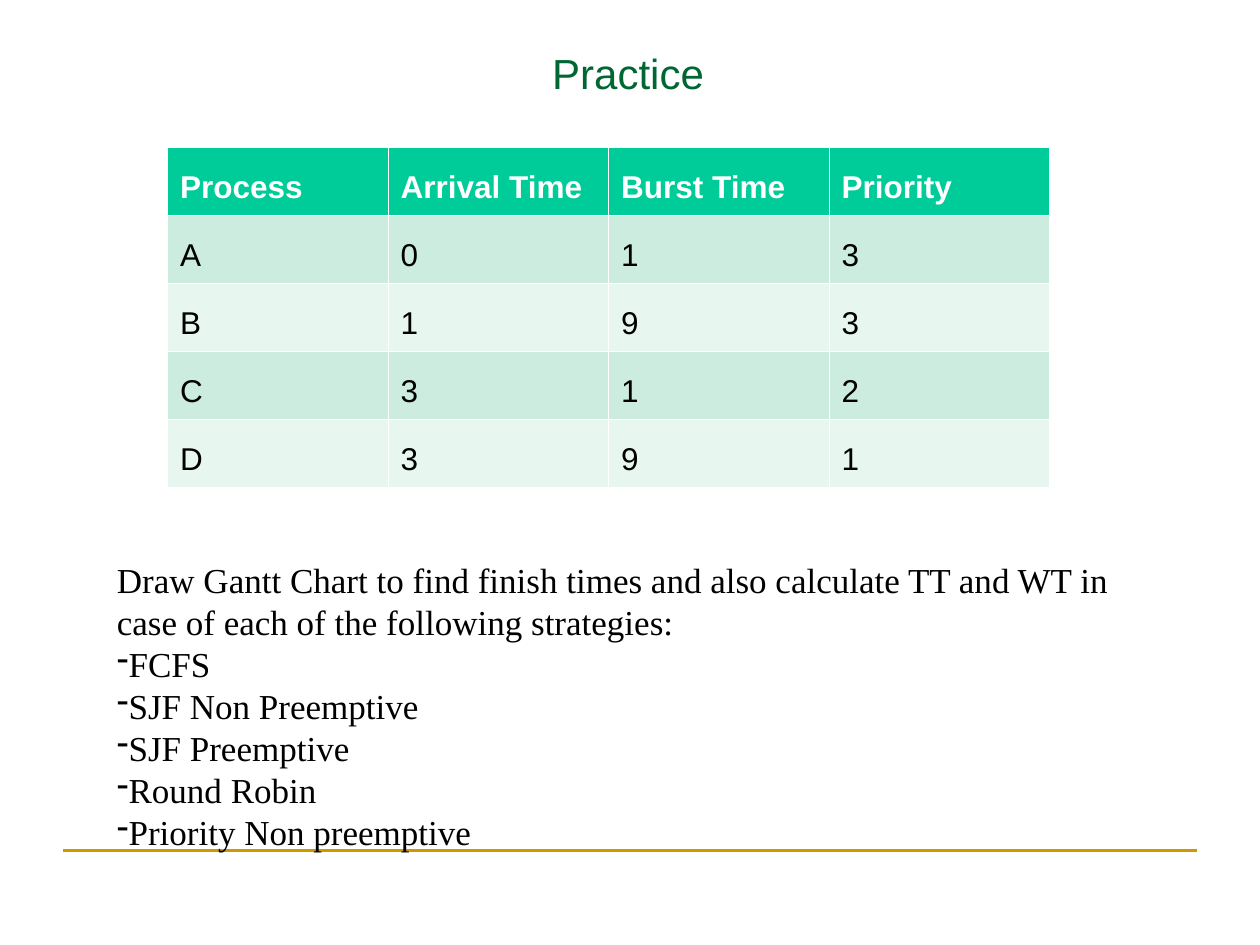
from lxml import etree
from pptx import Presentation
from pptx.dml.color import RGBColor
from pptx.enum.shapes import MSO_CONNECTOR
from pptx.enum.text import PP_ALIGN
from pptx.oxml.ns import qn
from pptx.util import Pt

PX = 9144
STRAIGHT = MSO_CONNECTOR.STRAIGHT
CENTER = PP_ALIGN.CENTER
SANS, SERIF = "Arial", "Times New Roman"
WHITE, BLACK, GREEN, GOLD = "FFFFFF", "000000", "006633", "CC9900"
HEADER_FILL, BAND_FILLS = "00CC99", ("CBECDE", "E7F6EF")
BORDER_SIDES = ("a:lnL", "a:lnR", "a:lnT", "a:lnB")

PROCESSES = [
    ("Process", "Arrival Time", "Burst Time", "Priority"),
    ("A", "0", "1", "3"),
    ("B", "1", "9", "3"),
    ("C", "3", "1", "2"),
    ("D", "3", "9", "1"),
]
TASK = ("Draw Gantt Chart to find finish times and also calculate TT and WT "
        "in case of each of the following strategies:")
STRATEGIES = ["FCFS", "SJF Non Preemptive", "SJF Preemptive", "Round Robin",
              "Priority Non preemptive"]


def px(*lengths):
    return [length * PX for length in lengths]


def color(hex_code):
    return RGBColor.from_string(hex_code)


def style(paragraph, face, size, hex_code, bold=False):
    for run in paragraph.runs:
        run.font.name = face
        run.font.size = Pt(size)
        run.font.bold = bold
        run.font.color.rgb = color(hex_code)


def add_text_frame(slide, box):
    frame = slide.shapes.add_textbox(*px(*box)).text_frame
    frame.word_wrap = True
    return frame


def add_title(slide, box, title):
    heading = add_text_frame(slide, box).paragraphs[0]
    heading.text = title
    heading.alignment = CENTER
    style(heading, SANS, 24, GREEN)


def add_rule(slide, left, right, y):
    rule = slide.shapes.add_connector(STRAIGHT, *px(left, y, right, y))
    rule.line.color.rgb = color(GOLD)
    rule.line.width = Pt(1.5)
    etree.SubElement(rule._element.spPr, qn("a:effectLst"))


def add_borders(cell):
    properties = cell._tc.get_or_add_tcPr()
    for position, side in enumerate(BORDER_SIDES):
        border = etree.Element(qn(side), w=str(Pt(0.75)))
        fill = etree.SubElement(border, qn("a:solidFill"))
        etree.SubElement(fill, qn("a:srgbClr"), val=WHITE)
        properties.insert(position, border)


def add_process_table(slide, box, rows):
    table = slide.shapes.add_table(len(rows), len(rows[0]), *px(*box)).table
    for row_index, values in enumerate(rows):
        is_header = row_index == 0
        fill = HEADER_FILL if is_header else BAND_FILLS[(row_index - 1) % 2]
        for column_index, value in enumerate(values):
            cell = table.cell(row_index, column_index)
            cell.margin_top, = px(23)
            cell.fill.solid()
            cell.fill.fore_color.rgb = color(fill)
            entry = cell.text_frame.paragraphs[0]
            entry.text = value
            entry.line_spacing = 0.78
            style(entry, SANS, 18, WHITE if is_header else BLACK, is_header)
            add_borders(cell)


def add_dash(paragraph):
    properties = paragraph._p.get_or_add_pPr()
    properties.set("marL", "0")
    properties.set("indent", str(-14 * PX))
    bullet_color = etree.SubElement(properties, qn("a:buClr"))
    etree.SubElement(bullet_color, qn("a:srgbClr"), val=BLACK)
    etree.SubElement(properties, qn("a:buChar"), char="-")


def add_task(slide, box, task, strategies):
    frame = add_text_frame(slide, box)
    frame.text = "\n".join([task, *strategies])
    for index, paragraph in enumerate(frame.paragraphs):
        if index:
            add_dash(paragraph)
        style(paragraph, SERIF, 20, BLACK)


def main():
    presentation = Presentation()
    presentation.slide_width, presentation.slide_height = px(1000, 750)
    slide = presentation.slides.add_slide(presentation.slide_layouts[6])
    add_rule(slide, 50, 950, 675)
    add_title(slide, (50, 33, 897, 59), "Practice")
    add_process_table(slide, (133, 117, 700, 270), PROCESSES)
    add_task(slide, (83, 438, 833, 244), TASK, STRATEGIES)
    presentation.save("out.pptx")


if __name__ == "__main__":
    main()
